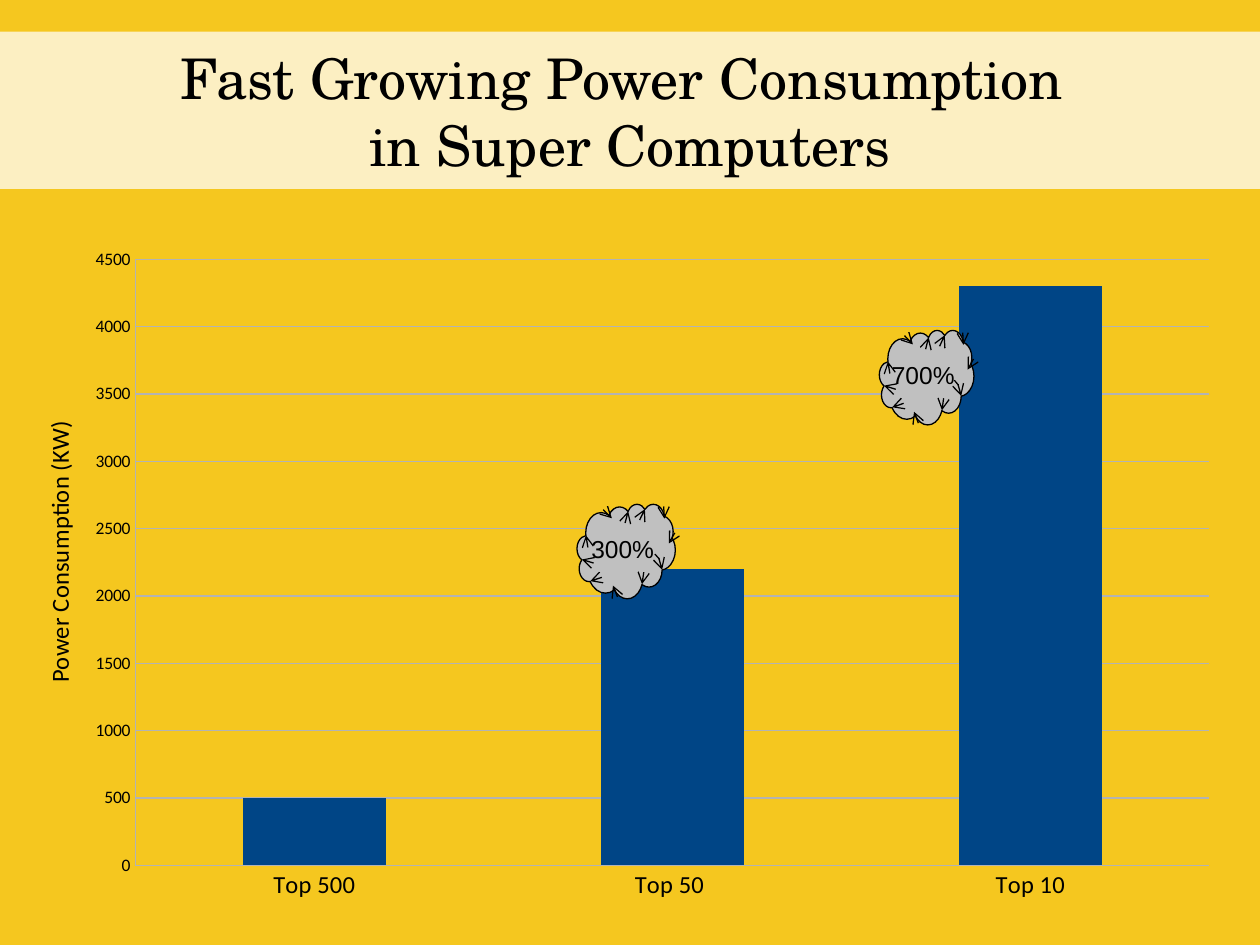
from lxml import etree
from pptx import Presentation
from pptx.chart.data import CategoryChartData
from pptx.dml.color import RGBColor
from pptx.enum.chart import XL_CHART_TYPE, XL_TICK_MARK
from pptx.enum.shapes import MSO_SHAPE
from pptx.enum.text import MSO_ANCHOR, MSO_AUTO_SIZE, PP_ALIGN
from pptx.oxml import parse_xml
from pptx.oxml.ns import nsdecls, qn
from pptx.util import Inches, Pt

COLORS = {
    "background": "F5C71F",
    "banner": "FFFFFF",
    "text": "000000",
    "bar": "004586",
    "grid": "B3B3B3",
    "cloud": "C0C0C0",
}


def rgb(name):
    return RGBColor.from_string(COLORS[name])


def style_font(font, face, size):
    font.name = face
    font.size = Pt(size)
    font.bold = False
    font.color.rgb = rgb("text")


def add_line(paragraph, text, face, size):
    paragraph.alignment = PP_ALIGN.CENTER
    run = paragraph.add_run()
    run.text = text
    style_font(run.font, face, size)


def place(shape, left, top, width, height):
    shape.left, shape.top = Inches(left), Inches(top)
    shape.width, shape.height = Inches(width), Inches(height)


def set_layout(part, **fractions):
    """Fix a chart part's place as fractions of the chart area."""
    for old in part.findall(qn("c:layout")):
        part.remove(old)
    modes = "".join(f'<c:{side}Mode val="edge"/>' for side in "xy")
    values = "".join(f'<c:{key} val="{val}"/>' for key, val in fractions.items())
    layout = parse_xml(
        f'<c:layout {nsdecls("c")}><c:manualLayout>{modes}{values}'
        "</c:manualLayout></c:layout>"
    )
    text = part.find(qn("c:tx"))
    part.insert(0 if text is None else part.index(text) + 1, layout)


def style_axis(axis, label_size):
    axis.major_tick_mark = axis.minor_tick_mark = XL_TICK_MARK.NONE
    style_font(axis.tick_labels.font, "Calibri", label_size)
    style_rule(axis.format.line)


def style_rule(line):
    line.color.rgb = rgb("grid")
    line.width = Pt(0.75)


def add_power_chart(slide):
    data = CategoryChartData()
    data.categories = ["Top 500", "Top 50 ", "Top 10"]
    data.add_series("Series 1", [500, 2200, 4300])
    chart = slide.shapes.add_chart(
        XL_CHART_TYPE.COLUMN_CLUSTERED,
        Inches(0), Inches(1.42), Inches(10), Inches(6.08), data,
    ).chart
    chart.has_legend = chart.has_title = False
    style_font(chart.font, "Calibri", 10)

    # Bars
    bars = chart.plots[0]
    bars.vary_by_categories = False
    bars.gap_width = 150
    fill = bars.series[0].format.fill
    fill.solid()
    fill.fore_color.rgb = rgb("bar")

    # Axes and gridlines
    style_axis(chart.category_axis, 14)
    power_axis = chart.value_axis
    style_axis(power_axis, 10)
    power_axis.minimum_scale, power_axis.maximum_scale = 0, 4500
    power_axis.major_unit = 500
    style_rule(power_axis.major_gridlines.format.line)

    # Axis title
    power_title = power_axis.axis_title
    caption = power_title.text_frame.paragraphs[0]
    add_line(caption, "Power Consumption (KW)", "Calibri", 14)
    body = power_title.text_frame._txBody.find(qn("a:bodyPr"))
    body.set("rot", "-5400000")
    body.set("vert", "horz")
    set_layout(power_title._element, x=0.03, y=0.31)

    plot_area = chart._chartSpace.chart.plotArea
    set_layout(plot_area, x=0.076, y=0.092, w=0.884, h=0.85)


def add_growth_cloud(slide, text, left, top, width, height):
    cloud = slide.shapes.add_shape(
        MSO_SHAPE.CLOUD, Inches(left), Inches(top), Inches(width), Inches(height)
    )
    cloud.shadow.inherit = False
    cloud.fill.solid()
    cloud.fill.fore_color.rgb = rgb("cloud")
    cloud.line.color.rgb = rgb("text")
    cloud.line.width = Pt(0)
    etree.SubElement(cloud.line._get_or_add_ln(), qn("a:tailEnd"), type="arrow")
    frame = cloud.text_frame
    frame.word_wrap = False
    frame.vertical_anchor = MSO_ANCHOR.MIDDLE
    add_line(frame.paragraphs[0], text, "Arial", 14)


def add_title_banner(slide, lines):
    banner = slide.shapes.title
    place(banner, 0, 0.25, 10, 1.25)
    banner.fill.solid()
    banner.fill.fore_color.rgb = rgb("banner")
    color = banner._element.spPr.find(".//" + qn("a:srgbClr"))
    etree.SubElement(color, qn("a:alpha"), val="73000")
    frame = banner.text_frame
    frame.word_wrap = True
    frame.auto_size = MSO_AUTO_SIZE.NONE
    frame.vertical_anchor = MSO_ANCHOR.MIDDLE
    for index, line in enumerate(lines):
        paragraph = frame.add_paragraph() if index else frame.paragraphs[0]
        paragraph.space_before = Pt(0)
        add_line(paragraph, line, "TeX Gyre Schola", 32)
    # The banner lies in front of the chart
    slide.shapes._spTree.append(banner._element)


def main():
    prs = Presentation()
    prs.slide_width, prs.slide_height = Inches(10), Inches(7.5)
    slide = prs.slides.add_slide(prs.slide_layouts[5])
    slide.background.fill.solid()
    slide.background.fill.fore_color.rgb = rgb("background")

    add_power_chart(slide)
    add_growth_cloud(slide, "700%", 6.98, 2.62, 0.75, 0.75)
    add_growth_cloud(slide, "300%", 4.58, 4, 0.78, 0.75)
    add_title_banner(
        slide, ["Fast Growing Power Consumption ", "in Super Computers"]
    )
    prs.save("out.pptx")


if __name__ == "__main__":
    main()
